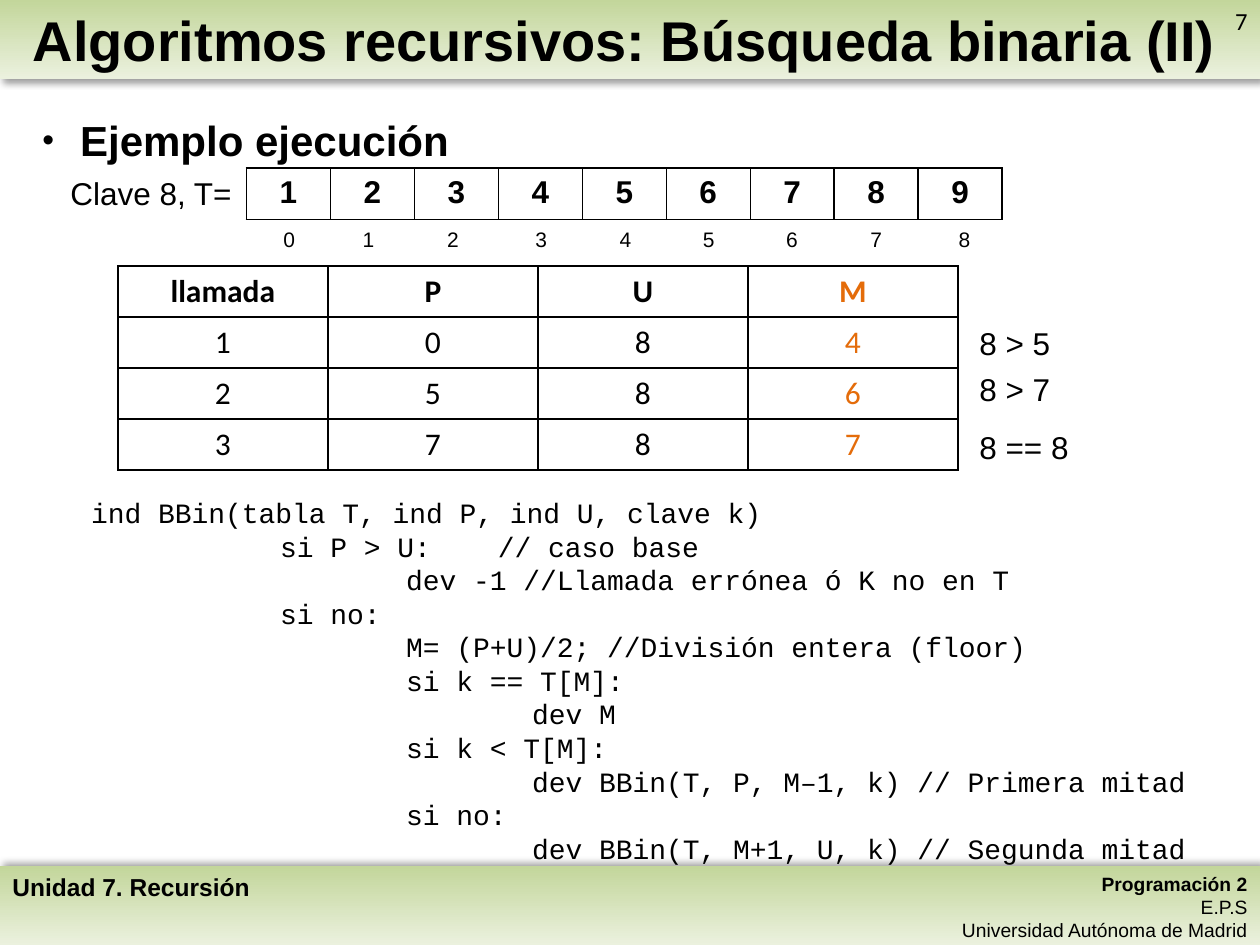
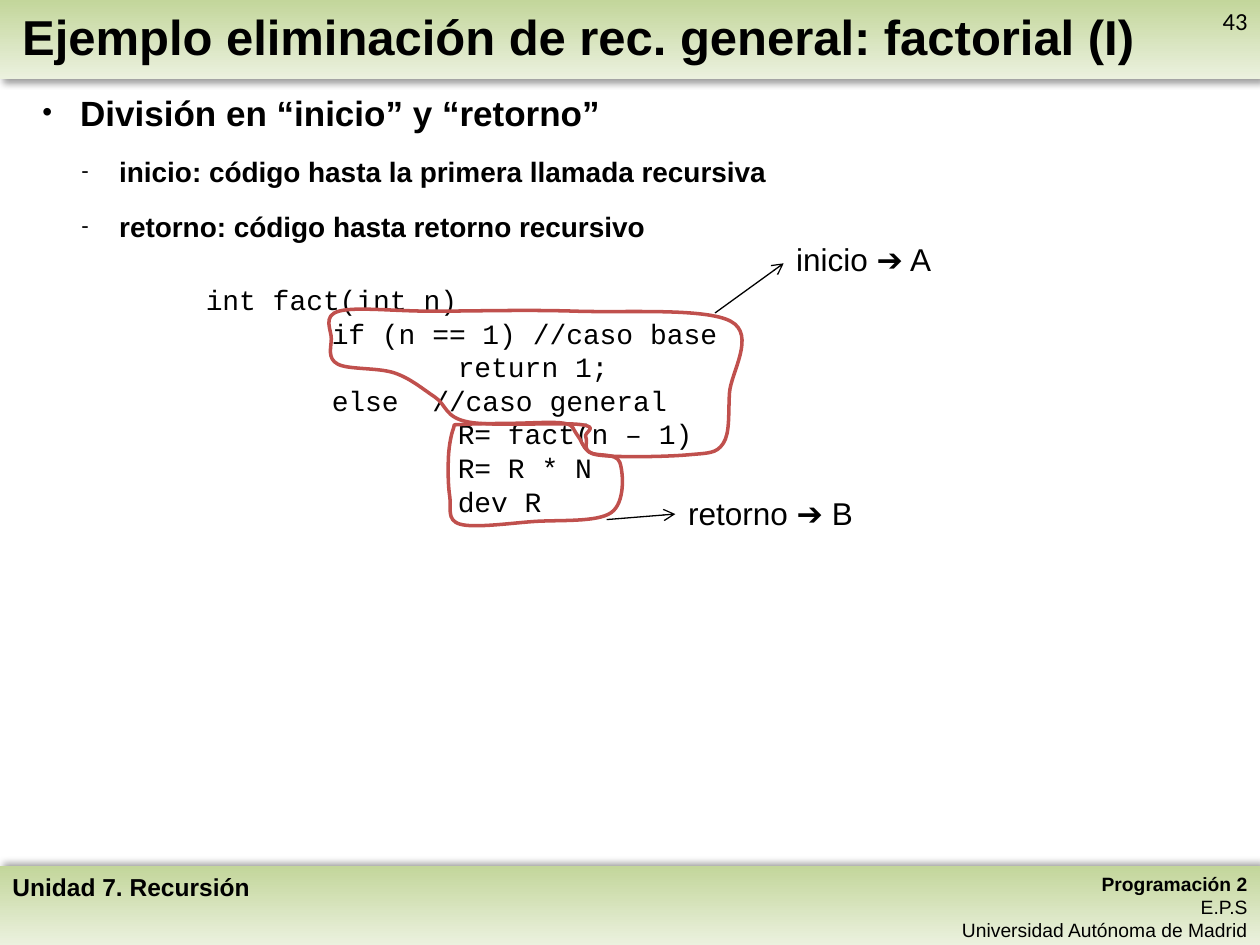
from dataclasses import dataclass
from typing import NamedTuple

from lxml import etree
from pptx import Presentation
from pptx.dml.color import RGBColor
from pptx.enum.shapes import MSO_CONNECTOR, MSO_SHAPE
from pptx.enum.text import MSO_ANCHOR, MSO_AUTO_SIZE, PP_ALIGN
from pptx.oxml.ns import qn
from pptx.util import Emu, Inches, Pt

LEFT, CENTER, RIGHT = PP_ALIGN.LEFT, PP_ALIGN.CENTER, PP_ALIGN.RIGHT
MIDDLE = MSO_ANCHOR.MIDDLE
FIXED_SIZE = MSO_AUTO_SIZE.NONE
RECTANGLE = MSO_SHAPE.RECTANGLE
STRAIGHT = MSO_CONNECTOR.STRAIGHT
TITLE_ONLY = 5

COLORS = {
    "ink": "000000",
    "paper": "FFFFFF",
    "band_top": "C3D69B",
    "band_bottom": "EBF1DE",
    "middle_index": "E46C0A",
    "outline": "C0504D",
}
SANS, TABLE_FONT, CODE_FONT = "Arial", "Calibri", "Courier New"

# The page is a grid of 100 columns by 75 rows of equal square cells
COLUMNS, ROWS = 100, 75
PAGE_WIDTH, PAGE_HEIGHT = Inches(10), Inches(7.5)
CELL = PAGE_WIDTH // COLUMNS
BAND_ROWS = 6.25
FOOTER_TOP = ROWS - BAND_ROWS


class Box(NamedTuple):
    left: float
    top: float
    width: float
    height: float


class Point(NamedTuple):
    column: float
    row: float


@dataclass(frozen=True)
class Style:
    size: float
    font: str = SANS
    bold: bool = False
    color: str = "ink"
    align: PP_ALIGN = LEFT


@dataclass(frozen=True)
class Line:
    text: str
    depth: int = 0


@dataclass(frozen=True)
class Bullet:
    text: str
    size: float
    mark: str = "•"
    indent: float = 3


LABEL = Style(18)
CODE = Style(16, CODE_FONT)
INDEX = Style(12)


def cells(count: float) -> Emu:
    return Emu(round(count * CELL))


def place(box: Box) -> list[Emu]:
    return [cells(length) for length in box]


def rgb(name: str) -> RGBColor:
    return RGBColor.from_string(COLORS[name])


def add_xml(parent, tag: str, **attributes: str):
    return etree.SubElement(parent, qn(tag), attributes)


def format_para(para, style: Style) -> None:
    para.alignment = style.align
    for span in para.runs:
        span.font.name = style.font
        span.font.size = Pt(style.size)
        span.font.bold = style.bold
        span.font.color.rgb = rgb(style.color)


def indent_para(para, margin: float, first: float = 0) -> None:
    properties = para._p.get_or_add_pPr()
    properties.set("marL", str(cells(margin)))
    properties.set("indent", str(cells(first)))


def add_paras(page, box: Box, texts: list[str], styles: list[Style]) -> list:
    frame = page.shapes.add_textbox(*place(box)).text_frame
    frame.word_wrap = True
    frame.text = "\n".join(texts)
    for para, style in zip(frame.paragraphs, styles):
        format_para(para, style)
    return list(frame.paragraphs)


def add_label(page, box: Box, text: str, style: Style = LABEL) -> None:
    add_paras(page, box, [text], [style])


def add_code(page, box: Box, lines: list[Line], base: float = 0) -> None:
    """Write code with ten columns per depth, plus a base for nested lines."""
    paras = add_paras(page, box, [line.text for line in lines], [CODE] * len(lines))
    for para, line in zip(paras, lines):
        indent_para(para, base + 10 * line.depth if line.depth else 0)


def add_bullets(page, box: Box, bullets: list[Bullet]) -> None:
    styles = [Style(bullet.size, bold=True) for bullet in bullets]
    paras = add_paras(page, box, [bullet.text for bullet in bullets], styles)
    for para, bullet in zip(paras, bullets):
        para.space_before = para.space_after = Pt(6)
        indent_para(para, bullet.indent, -3)
        properties = para._p.get_or_add_pPr()
        add_xml(properties, "a:buSzPct", val="80000")
        add_xml(properties, "a:buFont", typeface=SANS)
        add_xml(properties, "a:buChar", char=bullet.mark)


def add_band(page, top: float, shadow_angle: int) -> None:
    band = page.shapes.add_shape(RECTANGLE, *place(Box(0, top, COLUMNS, BAND_ROWS)))
    band.line.fill.background()
    band.fill.gradient()
    band.fill.gradient_angle = 270
    for stop, name in zip(band.fill.gradient_stops, ("band_top", "band_bottom")):
        stop.color.rgb = rgb(name)
    band.shadow.inherit = False
    effects = band.element.spPr.find(qn("a:effectLst"))
    shadow = add_xml(effects, "a:outerShdw", blurRad=str(Pt(4)), dist=str(Pt(3)),
                     dir=str(shadow_angle * 60000), algn="ctr", rotWithShape="0")
    shade = add_xml(shadow, "a:srgbClr", val=COLORS["ink"])
    add_xml(shade, "a:alpha", val="40000")


def add_page(deck, title: str, title_box: Box, title_size: float, number: int):
    page = deck.slides.add_slide(deck.slide_layouts[TITLE_ONLY])
    # Header and footer
    add_band(page, FOOTER_TOP, 315)
    add_band(page, 0, 45)
    add_paras(page, Box(71.1, FOOTER_TOP, 28.9, 6.6),
              ["Programación 2", "E.P.S", "Universidad Autónoma de Madrid"],
              [Style(11, bold=bold, align=RIGHT) for bold in (True, False, False)])
    add_label(page, Box(85.2, 0, 14.8, 3.4), str(number),
              Style(14, TABLE_FONT, align=RIGHT))
    add_label(page, Box(0, FOOTER_TOP, 35.2, 3.4), "Unidad 7. Recursión",
              Style(14, bold=True))
    # Title, brought in front of its band
    heading = page.shapes.title
    heading.element.getparent().append(heading.element)
    heading.left, heading.top, heading.width, heading.height = place(title_box)
    frame = heading.text_frame
    frame.text = title
    frame.auto_size = FIXED_SIZE
    frame.vertical_anchor = MIDDLE
    format_para(frame.paragraphs[0], Style(title_size, bold=True))
    return page


def border_cell(cell) -> None:
    properties = cell._tc.get_or_add_tcPr()
    for position, side in enumerate(("a:lnL", "a:lnR", "a:lnT", "a:lnB")):
        edge = etree.Element(qn(side), w=str(Pt(1)))
        add_xml(add_xml(edge, "a:solidFill"), "a:srgbClr", val=COLORS["ink"])
        properties.insert(position, edge)


def add_grid(page, box: Box, rows: list[list[str]], font: str,
             accent_column: int | None = None) -> None:
    """Draw a bordered table whose first row is bold."""
    grid = page.shapes.add_table(len(rows), len(rows[0]), *place(box)).table
    for row_index, row in enumerate(rows):
        grid.rows[row_index].height = cells(box.height / len(rows))
        for column_index, text in enumerate(row):
            cell = grid.cell(row_index, column_index)
            cell.text_frame.text = text
            cell.fill.solid()
            cell.fill.fore_color.rgb = rgb("paper")
            color = "middle_index" if column_index == accent_column else "ink"
            format_para(cell.text_frame.paragraphs[0],
                        Style(18, font, row_index == 0, color, CENTER))
            border_cell(cell)


def add_arrow(page, start: Point, end: Point) -> None:
    arrow = page.shapes.add_connector(STRAIGHT, *map(cells, (*start, *end)))
    arrow.line.color.rgb = rgb("ink")
    arrow.line.width = Pt(0.75)
    add_xml(arrow.line._get_or_add_ln(), "a:tailEnd", type="arrow")
    add_xml(arrow.element.spPr, "a:effectLst")


def round_segments(outline) -> None:
    """Turn the straight segments of a closed outline into smooth curves."""
    segments = list(outline.element.iter(qn("a:lnTo")))
    ends = [(int(point.get("x")), int(point.get("y")))
            for segment in segments for point in segment]
    count = len(ends)
    for index, segment in enumerate(segments):
        before, start, end, after = (ends[(index + shift) % count]
                                     for shift in (-2, -1, 0, 1))
        leaving = [b + (c - a) / 6 for a, b, c in zip(before, start, end)]
        arriving = [c - (d - b) / 6 for b, c, d in zip(start, end, after)]
        curve = etree.Element(qn("a:cubicBezTo"))
        for x, y in (leaving, arriving, end):
            add_xml(curve, "a:pt", x=str(round(x)), y=str(round(y)))
        segment.getparent().replace(segment, curve)


def add_outline(page, knots: list[Point]) -> None:
    first, *others = [tuple(map(cells, knot)) for knot in knots]
    builder = page.shapes.build_freeform(*first)
    builder.add_line_segments([*others, first], close=True)
    outline = builder.convert_to_shape()
    round_segments(outline)
    outline.fill.background()
    outline.line.color.rgb = rgb("outline")
    outline.line.width = Pt(2)
    outline.shadow.inherit = False


def build_binary_search(deck) -> None:
    page = add_page(deck, "Algoritmos recursivos: Búsqueda binaria (II)",
                    Box(1.6, 0, 96.1, 6.2), 32, 7)
    add_bullets(page, Box(2.38, 8.62, 95.3, 57.8), [Bullet("Ejemplo ejecución", 24)])

    # Searched array with its indices
    keys = [str(key) for key in range(1, 10)]
    index_lefts = (21.5, 27.8, 34.5, 41.5, 48.2, 54.8, 61.4, 68.1, 75.1)
    add_label(page, Box(4.6, 13.3, 14.9, 4), "Clave 8, T=")
    add_grid(page, Box(19.55, 13.35, 60, 4.06), [keys], SANS)
    for index, left in enumerate(index_lefts):
        add_label(page, Box(left, 17.5, 3.1, 3), str(index), INDEX)

    # Trace of the calls
    add_grid(page, Box(9.36, 21.1, 66.67, 16.22),
             [["llamada", "P", "U", "M"], ["1", "0", "8", "4"],
              ["2", "5", "8", "6"], ["3", "7", "8", "7"]],
             TABLE_FONT, accent_column=3)
    for top, comparison in ((25.2, "8 > 5"), (28.9, "8 > 7"), (33.5, "8 == 8")):
        add_label(page, Box(76.74, top, 12.5, 4), comparison)

    # Algorithm
    add_code(page, Box(6.25, 38.84, 90.6, 33.3), [
        Line("ind BBin(tabla T, ind P, ind U, clave k)"),
        Line("si P > U:    // caso base", 1),
        Line("dev -1 //Llamada errónea ó K no en T", 2),
        Line("si no:", 1),
        Line("M= (P+U)/2; //División entera (floor)", 2),
        Line("si k == T[M]:", 2),
        Line("dev M", 3),
        Line("si k < T[M]:", 2),
        Line("dev BBin(T, P, M–1, k) // Primera mitad", 3),
        Line("si no:", 2),
        Line("dev BBin(T, M+1, U, k) // Segunda mitad", 3),
    ], base=5)


def build_factorial(deck) -> None:
    page = add_page(deck, "Ejemplo eliminación de rec. general: factorial (I)",
                    Box(0.76, -0.3, 98, 6.3), 28, 43)
    add_bullets(page, Box(2.38, 6.76, 95.3, 57.8), [
        Bullet("División en “inicio” y “retorno”", 20),
        Bullet("inicio: código hasta la primera llamada recursiva", 16, "-", 6.1),
        Bullet("retorno: código hasta retorno recursivo", 16, "-", 6.1),
    ])
    add_code(page, Box(15.35, 21.94, 76.6, 22.5), [
        Line("int fact(int n)"),
        Line("if (n == 1) //caso base", 1),
        Line("return 1;", 2),
        Line("else  //caso general", 1),
        Line("R= fact(n – 1)", 2),
        Line("R= R * N", 2),
        Line("dev R", 2),
    ])

    # Outlines around the return part and the start part
    return_part = [(36.6, 33.7), (36, 34), (35.6, 36.2), (35.7, 39.4), (36.5, 41.6),
                   (42.3, 41.4), (48.5, 40.7), (49.2, 36.7), (46.8, 35.9),
                   (45.8, 34.5), (44.8, 33.6), (40.8, 33.6)]
    start_part = [(26.9, 24.7), (26.3, 26.9), (26.8, 28.9), (31.3, 29.6), (34.5, 31.5),
                  (37.2, 33.5), (46.1, 33.7), (46.5, 34.7), (47.4, 36.1), (54.6, 36.1),
                  (57.4, 35.2), (57.9, 31.2), (58, 25.5), (45.7, 24.7), (34.3, 24.7)]
    for knots in (return_part, start_part):
        add_outline(page, [Point(*knot) for knot in knots])

    # Names of the two parts
    add_arrow(page, Point(56.75, 24.84), Point(62.2, 20.9))
    add_label(page, Box(62.2, 18.6, 15.6, 4), "inicio ➔ A")
    add_arrow(page, Point(48.15, 41.24), Point(53.6, 40.8))
    add_label(page, Box(53.63, 38.75, 18, 4), "retorno ➔ B")


def main() -> None:
    deck = Presentation()
    deck.slide_width, deck.slide_height = PAGE_WIDTH, PAGE_HEIGHT
    build_binary_search(deck)
    build_factorial(deck)
    deck.save("out.pptx")


if __name__ == "__main__":
    main()
